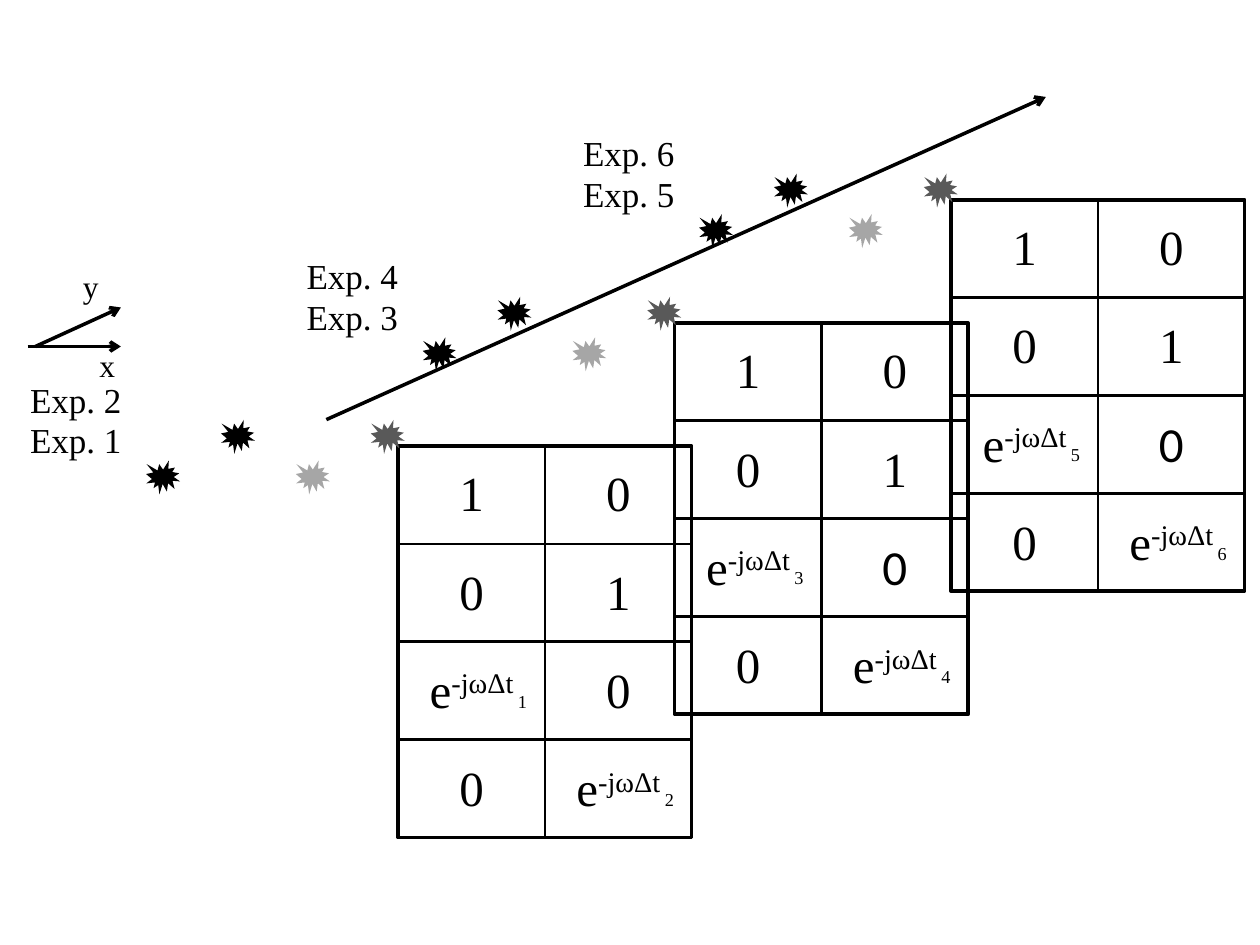
from pptx import Presentation
from pptx.dml.color import RGBColor
from pptx.enum.shapes import MSO_CONNECTOR as Connector, MSO_SHAPE as Shape
from pptx.enum.text import MSO_AUTO_SIZE as AutoSize, PP_ALIGN as Align
from pptx.oxml.ns import qn
from pptx.util import Pt
from lxml.etree import SubElement

BLACK = "000000"
SERIF = "Times New Roman"
CELL_WIDTH, CELL_HEIGHT = 83.9, 55.9
ROW_PITCH = 56.2
PANEL_STEP = (158, -70.4)
STAR_STEP, STAR_SIZE, STAR_DROP = 42.8, 19.4, 23.2
STAR_COLOURS = (BLACK, BLACK, "A6A6A6", "595959")


def colour(hex_string):
    """Turn a hex string into a colour."""
    return RGBColor.from_string(hex_string)


def add_text(slide, box, runs, size, font=SERIF, align=Align.CENTER):
    """Add a text box from pairs of wording and baseline shift in percent."""
    shape = slide.shapes.add_textbox(*map(Pt, box))
    frame = shape.text_frame
    frame.word_wrap = True
    frame.auto_size = AutoSize.SHAPE_TO_FIT_TEXT
    paragraph = frame.paragraphs[0]
    paragraph.alignment = align
    for wording, shift in runs:
        run = paragraph.add_run()
        run.text = wording
        run.font.size = Pt(size)
        run.font.name = font
        run.font.color.rgb = colour(BLACK)
        if shift:
            run.font._element.set("baseline", str(shift * 1000))


def add_frame(slide, box, weight):
    """Add an unfilled rectangle with a black outline."""
    shape = slide.shapes.add_shape(Shape.RECTANGLE, *map(Pt, box))
    shape.shadow.inherit = False
    shape.fill.background()
    shape.line.color.rgb = colour(BLACK)
    shape.line.width = Pt(weight)


def add_star(slide, left, top, fill):
    """Add a filled explosion without an outline."""
    box = (left, top, STAR_SIZE, STAR_SIZE)
    shape = slide.shapes.add_shape(Shape.EXPLOSION1, *map(Pt, box))
    shape.shadow.inherit = False
    shape.fill.solid()
    shape.fill.fore_color.rgb = colour(fill)
    shape.line.fill.background()


def add_arrow(slide, *ends):
    """Add a straight black line with an open arrowhead at its end."""
    arrow = slide.shapes.add_connector(Connector.STRAIGHT, *map(Pt, ends))
    arrow.line.color.rgb = colour(BLACK)
    arrow.line.width = Pt(2)
    SubElement(arrow.line._get_or_add_ln(), qn("a:tailEnd"), type="arrow")
    SubElement(arrow._element.spPr, qn("a:effectLst"))


def add_matrix(slide, left, top, first, zero_font):
    """Add a four by two matrix whose phase terms count from first."""
    add_frame(slide, (left, top, 2 * CELL_WIDTH, 4 * CELL_HEIGHT), 2)
    for row in range(4):
        for column in range(2):
            cell_left = left + column * CELL_WIDTH
            cell_top = top + row * CELL_HEIGHT
            add_frame(slide, (cell_left, cell_top, CELL_WIDTH, CELL_HEIGHT), 1.5)
            middle = cell_left + CELL_WIDTH / 2
            text_top = top + 6 + row * ROW_PITCH
            diagonal = row % 2 == column
            if diagonal and row >= 2:
                add_text(slide, (middle - 50.75, text_top, 101.5, 39),
                         [("e", 0), ("-jωΔt", 30)], 28)
                add_text(slide, (cell_left + 52.7, text_top + 5.2, 36.7, 21),
                         [(str(first + column), -25)], 18)
            else:
                font = zero_font if (row, column) == (2, 1) else SERIF
                add_text(slide, (middle - 22.3, text_top, 44.6, 39),
                         [("1" if diagonal else "0", 0)], 28, font)


def add_exposures(slide, left, top, first):
    """Add two exposure labels and their zigzag of stars."""
    for row in range(2):
        add_text(slide, (left - 80.5, top - 27.5 + row * STAR_DROP, 80.6, 29.5),
                 [(f"Exp. {first + 1 - row}", 0)], 20)
    for index, fill in enumerate(STAR_COLOURS):
        drop = STAR_DROP if index % 2 == 0 else 0
        add_star(slide, left + index * STAR_STEP, top + drop, fill)


def add_axes(slide):
    """Add the small x and y axes."""
    add_arrow(slide, 15.8, 198, 69.1, 198)
    add_arrow(slide, 20.2, 198, 69.1, 175.7)
    for name, left, top in (("x", 49.7, 194.4), ("y", 40.3, 149)):
        add_text(slide, (left, top, 28.8, 27.4), [(name, 0)], 18, align=Align.LEFT)


def main():
    """Build the slide and save it."""
    presentation = Presentation()
    presentation.slide_width, presentation.slide_height = Pt(720), Pt(540)
    slide = presentation.slides.add_slide(presentation.slide_layouts[6])
    for panel, zero_font in enumerate((SERIF, "Calibri", "Calibri")):
        across, down = (panel * step for step in PANEL_STEP)
        add_matrix(slide, 227.5 + across, 255 + down, 2 * panel + 1, zero_font)
        add_exposures(slide, 83.5 + across, 240 + down, 2 * panel + 1)
    add_axes(slide)
    add_arrow(slide, 186.5, 239.8, 597.6, 55.4)
    presentation.save("out.pptx")


if __name__ == "__main__":
    main()
